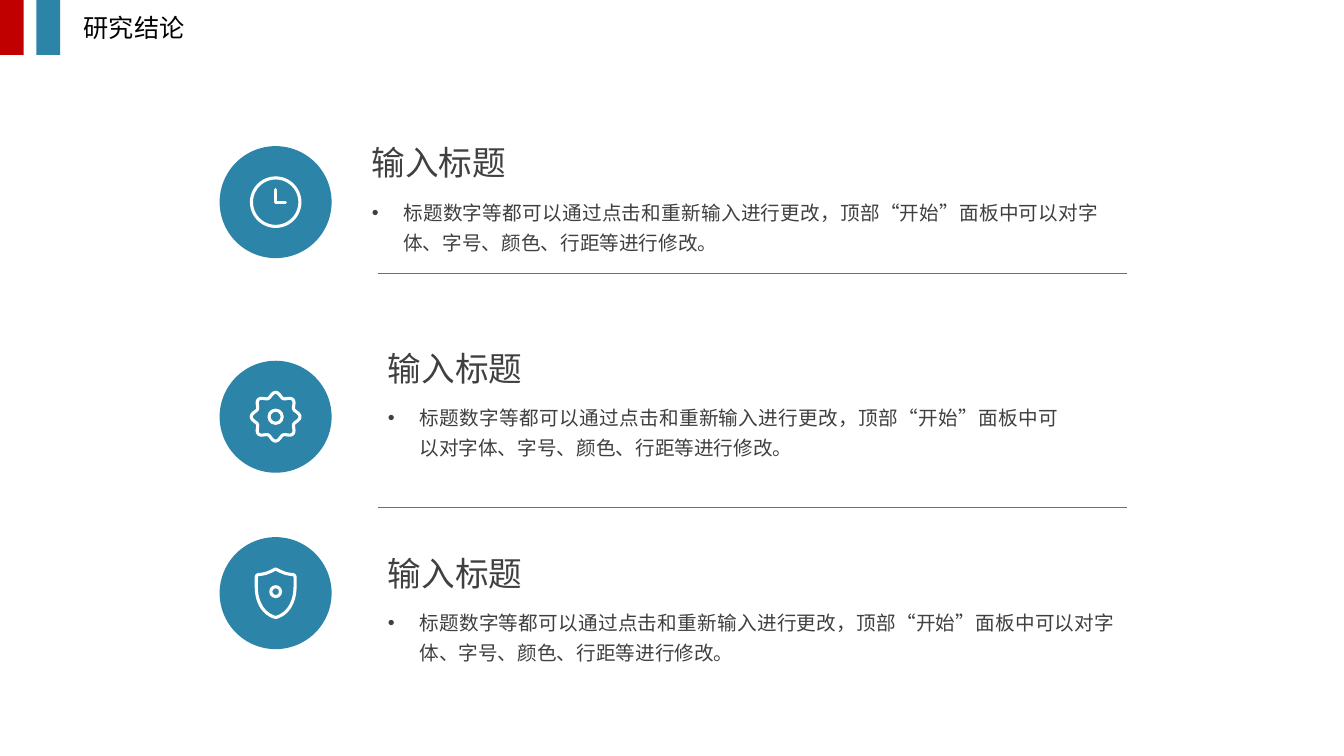
from math import cos, pi, sin

from pptx import Presentation
from pptx.dml.color import RGBColor
from pptx.enum import shapes, text
from pptx.oxml import ns
from pptx.util import Pt
from lxml import etree

BLUE = RGBColor(0x2D, 0x84, 0xA9)
RED = RGBColor(0xC0, 0x00, 0x00)
WHITE = RGBColor(0xFF, 0xFF, 0xFF)
GREY = RGBColor(0x40, 0x40, 0x40)
BLACK = RGBColor(0, 0, 0)
FONT = "Noto Sans CJK SC"

TITLE = "研究结论"
HEADING = "输入标题"
DETAIL = "标题数字等都可以通过点击和重新输入进行更改，顶部“开始”面板中可以对字体、字号、颜色、行距等进行修改。"
ITEMS = [
    {"icon": "clock", "icon_y": 144.4, "left": 258.5, "top": 98, "width": 533.5},
    {"icon": "gear", "icon_y": 297.7, "left": 270, "top": 244.6, "width": 493.2},
    {"icon": "shield", "icon_y": 423.7, "left": 270, "top": 391, "width": 533.5},
]
STRIPES = [(26, BLUE), (0, RED)]
DIVIDERS = [195.1, 362.2]
DIVIDER_SPAN = (270, 805)
ICON_X, BADGE_RADIUS, STROKE = 196.9, 40, 2.2
DETAIL_DROP, INDENT = 36.7, 22.5

HEADING_FORMAT = {"size": Pt(24), "bold": False, "name": FONT}
DETAIL_FORMAT = {"size": Pt(14), "bold": False, "name": FONT}
TITLE_FORMAT = {"size": Pt(18), "bold": False, "name": FONT}
FRAME_FORMAT = {"word_wrap": True, "auto_size": text.MSO_AUTO_SIZE.SHAPE_TO_FIT_TEXT}


def gear_outline():
    angles = [2 * pi * step / 128 for step in range(128)]
    radii = [15.7 + 1.7 * cos(8 * angle) for angle in angles]
    return [(r * cos(a), r * sin(a)) for r, a in zip(radii, angles)]


def shield_outline():
    half = [(0, -17.3), (3.3, -15.6), (6.8, -14.2), (9.5, -13.6), (12.4, -13.3),
            (13.4, -12.8), (13.9, -11.5), (13.9, -5.4)]
    for step in range(1, 17):
        t = step / 16
        x = 13.9 * ((1 - t) ** 3 + 3 * t * (1 - t) ** 2) + 1.5 * t * t * (1 - t)
        y = (-5.4 * (1 - t) ** 3 + 43.5 * t * (1 - t) ** 2
             + 51.9 * t * t * (1 - t) + 17.3 * t ** 3)
        half.append((x, y))
    return half + [(-x, y) for x, y in half[-2:0:-1]]


ICONS = {
    "clock": {"ring": (17.3, 0), "outline": [(0, -9), (0, 0), (7, 0)], "closed": False},
    "gear": {"ring": (4.7, 0), "outline": gear_outline(), "closed": True},
    "shield": {"ring": (3.5, -1.1), "outline": shield_outline(), "closed": True},
}


def paint(shape, color):
    shape.shadow.inherit = False
    shape.fill.solid()
    shape.fill.fore_color.rgb = color
    shape.line.fill.background()


def stroke(shape):
    shape.shadow.inherit = False
    shape.fill.background()
    shape.line.color.rgb = WHITE
    shape.line.width = Pt(STROKE)
    shape.line._get_or_add_ln().set("cap", "rnd")


def add_circle(group, y, radius):
    return group.shapes.add_shape(shapes.MSO_SHAPE.OVAL, Pt(ICON_X - radius),
                                  Pt(y - radius), Pt(2 * radius), Pt(2 * radius))


def add_icon(slide, icon, y):
    group = slide.shapes.add_group_shape()
    paint(add_circle(group, y, BADGE_RADIUS), BLUE)
    radius, shift = icon["ring"]
    stroke(add_circle(group, y + shift, radius))
    points = [(Pt(ICON_X + dx), Pt(y + dy)) for dx, dy in icon["outline"]]
    builder = group.shapes.build_freeform(*points[0])
    builder.add_line_segments(points[1:], close=icon["closed"])
    stroke(builder.convert_to_shape())


def write(box, words, font_format, color, anchor):
    frame = box.text_frame
    for key, value in {**FRAME_FORMAT, "vertical_anchor": anchor}.items():
        setattr(frame, key, value)
    paragraph = frame.paragraphs[0]
    run = paragraph.add_run()
    run.text = words
    for key, value in font_format.items():
        setattr(run.font, key, value)
    run.font.color.rgb = color
    etree.SubElement(run._r.get_or_add_rPr(), ns.qn("a:ea"), typeface=FONT)
    return paragraph


def add_bullet(paragraph):
    paragraph.alignment = text.PP_ALIGN.JUSTIFY
    paragraph.line_spacing = 1.3
    properties = paragraph._p.get_or_add_pPr()
    properties.set("marL", str(Pt(INDENT)))
    properties.set("indent", str(-Pt(INDENT)))
    etree.SubElement(properties, ns.qn("a:buFont"), typeface="Arial")
    etree.SubElement(properties, ns.qn("a:buChar"), char="•")


def add_item(slide, item):
    add_icon(slide, ICONS[item["icon"]], item["icon_y"])
    left, top = item["left"], item["top"]
    heading = slide.shapes.add_textbox(Pt(left), Pt(top), Pt(123), Pt(36))
    write(heading, HEADING, HEADING_FORMAT, GREY, text.MSO_ANCHOR.MIDDLE)
    detail = slide.shapes.add_textbox(Pt(left), Pt(top + DETAIL_DROP),
                                      Pt(item["width"]), Pt(49.7))
    add_bullet(write(detail, DETAIL, DETAIL_FORMAT, GREY, text.MSO_ANCHOR.TOP))


def add_divider(slide, y):
    start, end = DIVIDER_SPAN
    divider = slide.shapes.add_connector(shapes.MSO_CONNECTOR.STRAIGHT,
                                         Pt(start), Pt(y), Pt(end), Pt(y))
    divider.line.color.rgb = BLUE
    divider.line.width = Pt(0.5)
    etree.SubElement(divider._element.spPr, ns.qn("a:effectLst"))


def main():
    deck = Presentation()
    deck.slide_width, deck.slide_height = Pt(960), Pt(540)
    slide = deck.slides.add_slide(deck.slide_layouts[5])
    title = slide.shapes.title
    place = {"left": Pt(52.6), "top": Pt(5), "width": Pt(267.8), "height": Pt(29)}
    for key, value in place.items():
        setattr(title, key, value)
    heading = write(title, TITLE, TITLE_FORMAT, BLACK, text.MSO_ANCHOR.TOP)
    heading.alignment = text.PP_ALIGN.LEFT
    for left, color in STRIPES:
        paint(slide.shapes.add_shape(shapes.MSO_SHAPE.RECTANGLE, Pt(left), Pt(0),
                                     Pt(17), Pt(39.2)), color)
    for item in ITEMS:
        add_item(slide, item)
    for y in DIVIDERS:
        add_divider(slide, y)
    deck.save("out.pptx")


if __name__ == "__main__":
    main()
